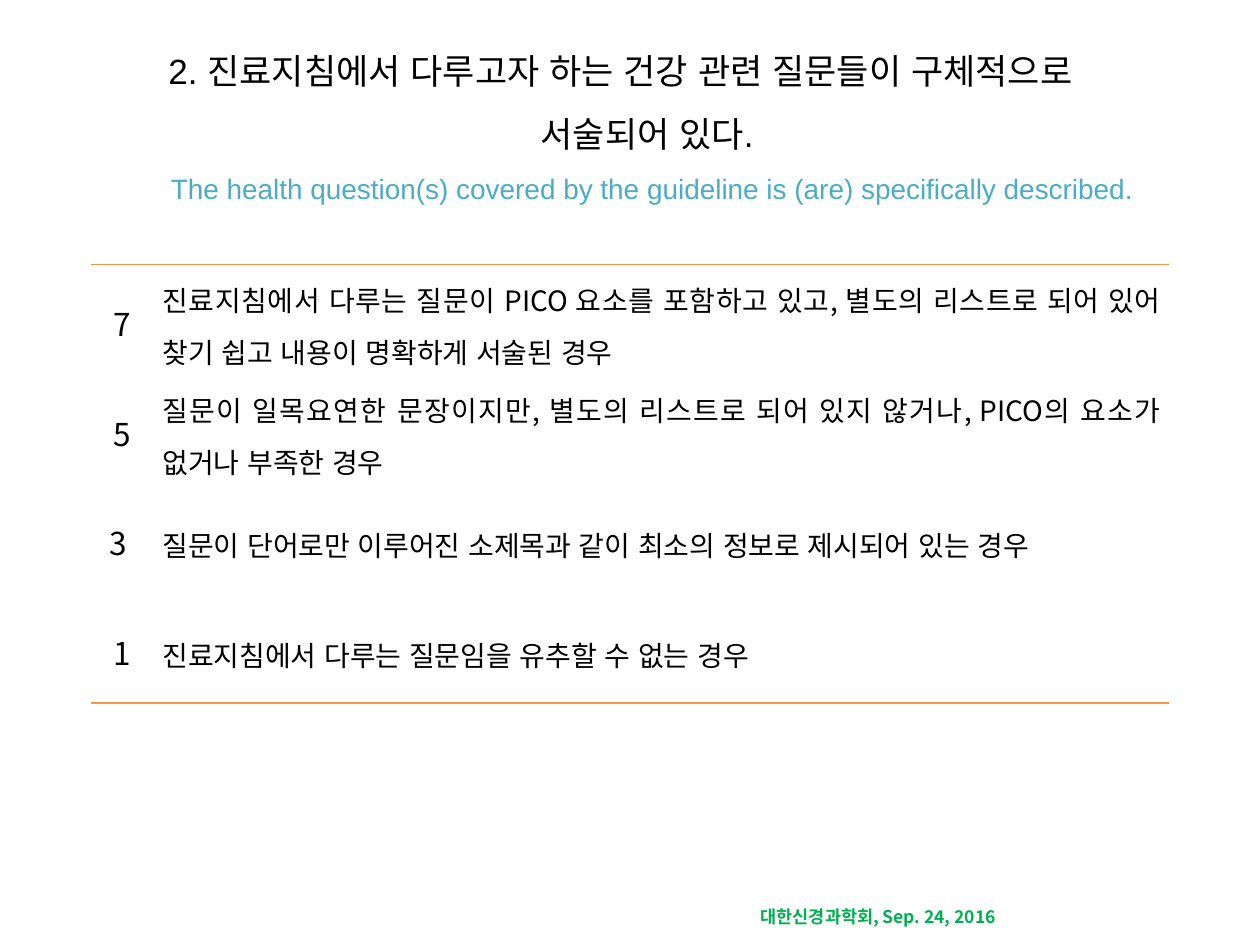
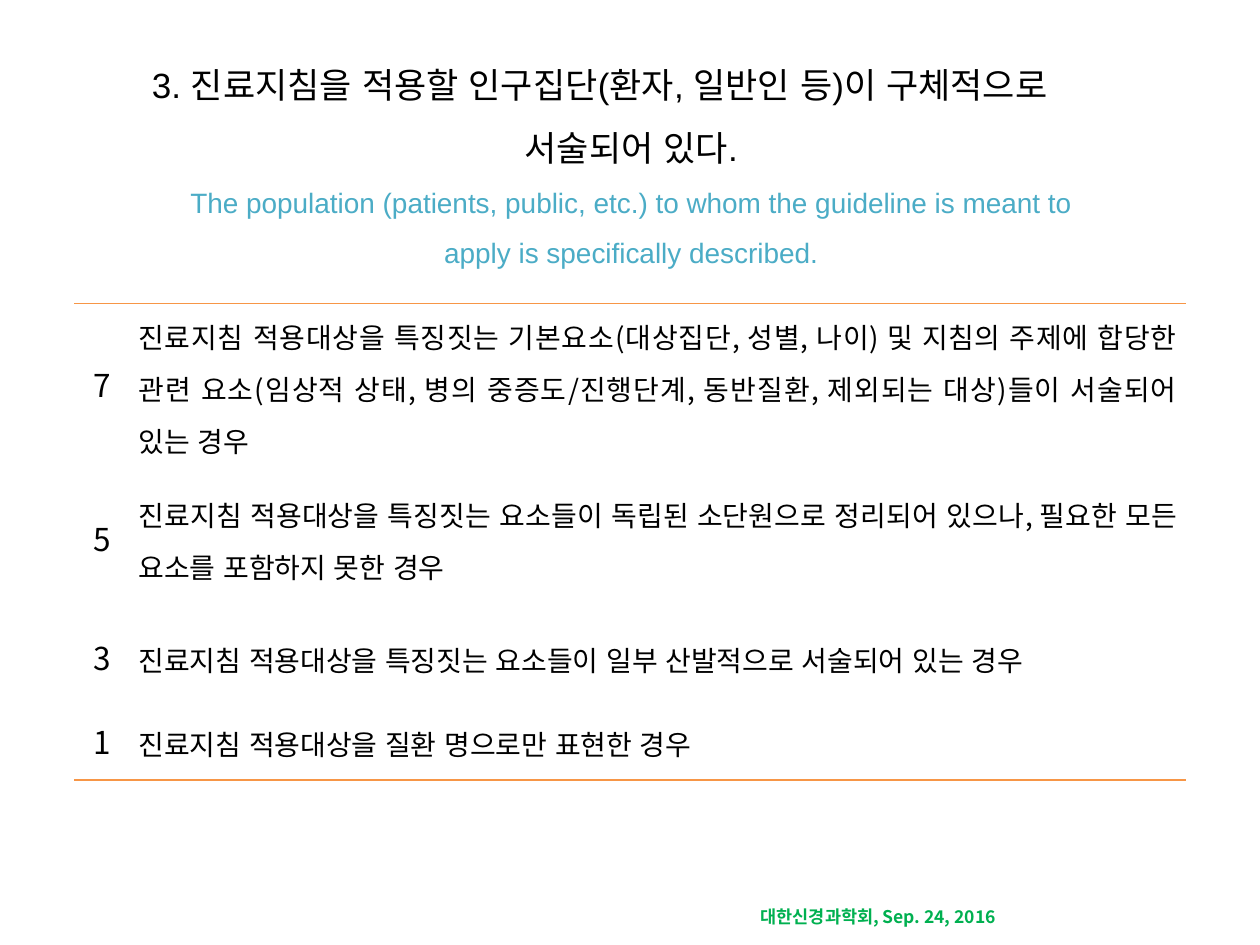
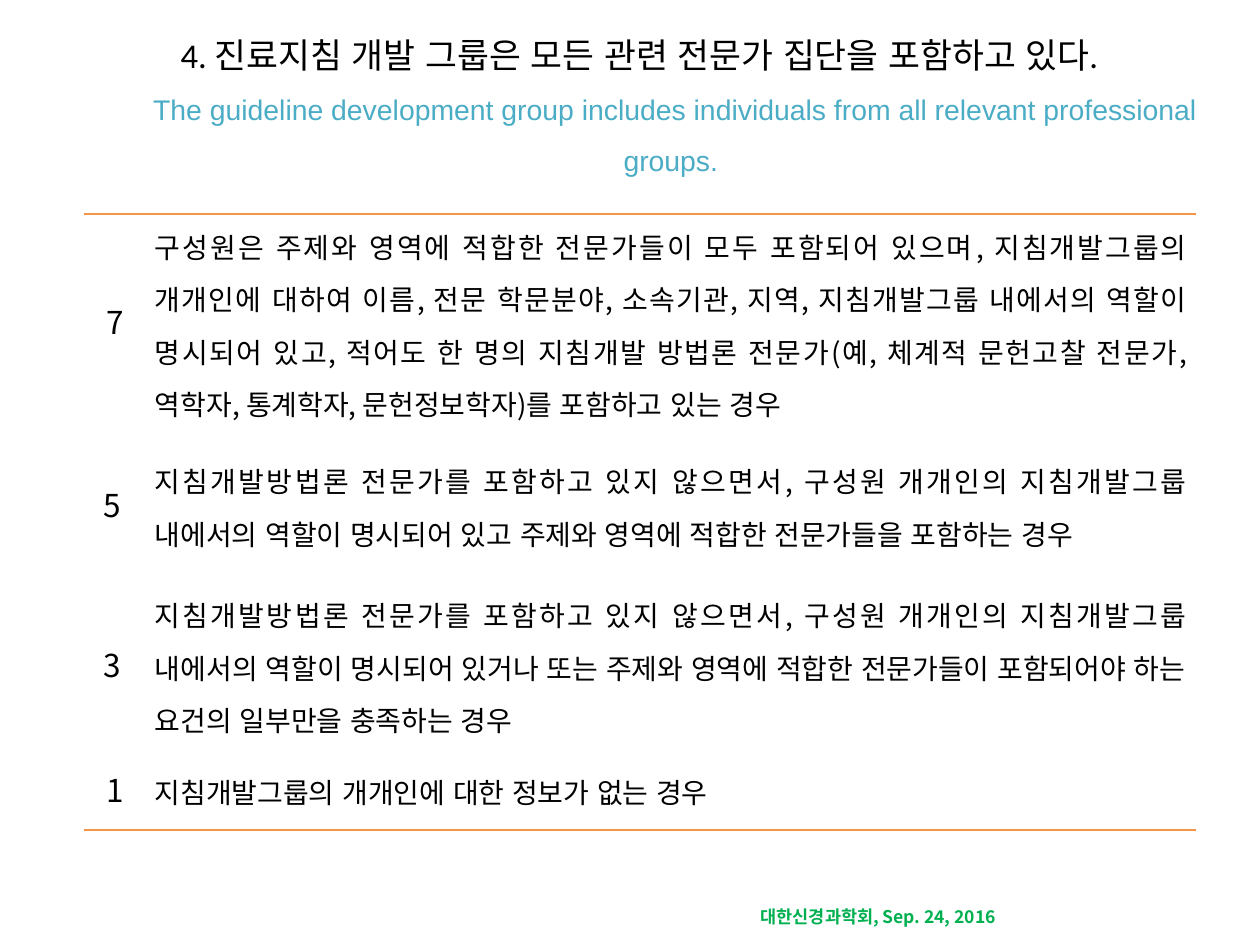
import pptx
import pptx.dml.color
import pptx.enum.lang
import pptx.enum.text
import pptx.oxml
import pptx.oxml.ns
import pptx.util

Inches = pptx.util.Inches
Pt = pptx.util.Pt
ALIGN = pptx.enum.text.PP_ALIGN
MIDDLE = pptx.enum.text.MSO_ANCHOR.MIDDLE
LANGUAGE = pptx.enum.lang.MSO_LANGUAGE_ID

KOREAN_FONT = "Noto Sans CJK KR"
BLACK, TEAL, GREEN, ORANGE = "000000", "4BACC6", "00B050", "F79646"
FOOTER = "대한신경과학회, Sep. 24, 2016"

SLIDES = [
    {
        "title_box": (0.75, 0.3, 8.35, 1.25),
        "question": ("2. 진료지침에서 다루고자 하는 건강 관련 질문들이 구체적으로 서술되어 있다. ", "Arial", 20),
        "translation": ("The health question(s) covered by the guideline is (are) specifically described.", 16),
        "table_corner": (0.72, 2.1),
        "columns": (0.5, 8.06),
        "rows": (0.87, 0.87, 0.87, 0.87),
        "criteria": [
            ("7", "진료지침에서 다루는 질문이 PICO 요소를 포함하고 있고, 별도의 리스트로 되어 있어 찾기 쉽고 내용이 명확하게 서술된 경우"),
            ("5", "질문이 일목요연한 문장이지만, 별도의 리스트로 되어 있지 않거나, PICO의 요소가 없거나 부족한 경우"),
            ("3 ", "질문이 단어로만 이루어진 소제목과 같이 최소의 정보로 제시되어 있는 경우"),
            ("1", "진료지침에서 다루는 질문임을 유추할 수 없는 경우"),
        ],
    },
    {
        "title_box": (0.66, 0.61, 8.2, 1.25),
        "question": ("3. 진료지침을 적용할 인구집단(환자, 일반인 등)이 구체적으로 서술되어 있다.", "Arial", 20),
        "translation": ("The population (patients, public, etc.) to whom the guideline is meant to apply is specifically described.", 16),
        "table_corner": (0.59, 2.41),
        "columns": (0.44, 8.38),
        "rows": (1.22, 1.22, 0.67, 0.67),
        "criteria": [
            ("7", "진료지침 적용대상을 특징짓는 기본요소(대상집단, 성별, 나이) 및 지침의 주제에 합당한 관련 요소(임상적 상태, 병의 중증도/진행단계, 동반질환, 제외되는 대상)들이 서술되어 있는 경우"),
            ("5", "진료지침 적용대상을 특징짓는 요소들이 독립된 소단원으로 정리되어 있으나, 필요한 모든 요소를 포함하지 못한 경우"),
            ("3", "진료지침 적용대상을 특징짓는 요소들이 일부 산발적으로 서술되어 있는 경우"),
            ("1", "진료지침 적용대상을 질환 명으로만 표현한 경우"),
        ],
    },
    {
        "title_box": (0.28, 0.13, 9.65, 1.25),
        "question": ("4. 진료지침 개발 그룹은 모든 관련 전문가 집단을 포함하고 있다. ", "Calibri", 19.8),
        "translation": ("The guideline development group includes individuals from all relevant professional groups. ", 16.2),
        "table_corner": (0.67, 1.7),
        "columns": (0.49, 8.33),
        "rows": (1.64, 1.27, 1.27, 0.71),
        "criteria": [
            ("7", "구성원은 주제와 영역에 적합한 전문가들이 모두 포함되어 있으며, 지침개발그룹의 개개인에 대하여 이름, 전문 학문분야, 소속기관, 지역, 지침개발그룹 내에서의 역할이 명시되어 있고, 적어도 한 명의 지침개발 방법론 전문가(예, 체계적 문헌고찰 전문가, 역학자, 통계학자, 문헌정보학자)를 포함하고 있는 경우"),
            ("5 ", "지침개발방법론 전문가를 포함하고 있지 않으면서, 구성원 개개인의 지침개발그룹 내에서의 역할이 명시되어 있고 주제와 영역에 적합한 전문가들을 포함하는 경우"),
            ("3 ", "지침개발방법론 전문가를 포함하고 있지 않으면서, 구성원 개개인의 지침개발그룹 내에서의 역할이 명시되어 있거나 또는 주제와 영역에 적합한 전문가들이 포함되어야 하는 요건의 일부만을 충족하는 경우"),
            ("1", "지침개발그룹의 개개인에 대한 정보가 없는 경우"),
        ],
    },
]


def rgb(value):
    return pptx.dml.color.RGBColor.from_string(value)


def apply(target, values):
    for attribute, value in values.items():
        setattr(target, attribute, value)


class GuidelineDeck:
    score_format = {"alignment": ALIGN.CENTER, "line_spacing": 1.15}
    criterion_format = {"alignment": ALIGN.JUSTIFY, "line_spacing": 1.3}
    title_format = {"alignment": ALIGN.CENTER, "line_spacing": 1.5}
    cell_format = {
        "vertical_anchor": MIDDLE,
        "margin_left": Inches(0.07),
        "margin_right": Inches(0.07),
        "margin_top": 0,
        "margin_bottom": 0,
    }

    def __init__(self):
        self.presentation = pptx.Presentation()
        apply(self.presentation, {"slide_width": Inches(10), "slide_height": Inches(7.5)})
        self.slide = None

    def new_slide(self):
        self.slide = self.presentation.slides.add_slide(self.presentation.slide_layouts[6])

    def run(self, paragraph, text, size, color=BLACK, font=KOREAN_FONT, bold=False, language=LANGUAGE.KOREAN):
        run = paragraph.add_run()
        run.text = text
        apply(run.font, {"size": Pt(size), "name": font, "bold": bold, "language_id": language})
        run.font.color.rgb = rgb(color)
        east_asian = pptx.oxml.parse_xml(
            f'<a:ea {pptx.oxml.ns.nsdecls("a")} typeface="{KOREAN_FONT}"/>'
        )
        run.font._element.append(east_asian)

    def text_frame(self, box, **values):
        frame = self.slide.shapes.add_textbox(*map(Inches, box)).text_frame
        apply(frame, {"word_wrap": True, **values})
        return frame

    def title(self, box, question, translation):
        paragraph = self.text_frame(box, vertical_anchor=MIDDLE).paragraphs[0]
        apply(paragraph, self.title_format)
        hanging = Inches(0.5)
        apply_indent = paragraph._p.get_or_add_pPr().set
        apply_indent("marL", str(hanging))
        apply_indent("indent", str(-hanging))
        text, font, size = question
        self.run(paragraph, text, size, font=font)
        paragraph.add_line_break()
        text, size = translation
        self.run(paragraph, text, size, TEAL, "Arial", language=LANGUAGE.ENGLISH_US)

    def footer(self):
        paragraph = self.text_frame((5.94, 7.14, 2.44, 0.27)).paragraphs[0]
        self.run(paragraph, FOOTER, 10, GREEN, bold=True)

    def borders(self, cell, colored):
        properties = cell._tc.get_or_add_tcPr()
        for position, edge in enumerate(("lnL", "lnR", "lnT", "lnB")):
            fill = "<a:noFill/>"
            if edge in colored:
                fill = f'<a:solidFill><a:srgbClr val="{ORANGE}"/></a:solidFill>'
            line = pptx.oxml.parse_xml(
                f'<a:{edge} {pptx.oxml.ns.nsdecls("a")} w="{Pt(1)}">{fill}</a:{edge}>'
            )
            properties.insert(position, line)

    def cell(self, cell, text, size, paragraph_format, colored):
        apply(cell, self.cell_format)
        cell.fill.background()
        self.borders(cell, colored)
        paragraph = cell.text_frame.paragraphs[0]
        apply(paragraph, paragraph_format)
        self.run(paragraph, text, size)

    def criteria_table(self, corner, columns, rows, criteria):
        box = (*corner, sum(columns), sum(rows))
        table = self.slide.shapes.add_table(len(rows), len(columns), *map(Inches, box)).table
        apply(table, {"first_row": False, "horz_banding": False})
        for column, width in zip(table.columns, columns):
            column.width = Inches(width)
        for index, (score, criterion) in enumerate(criteria):
            table.rows[index].height = Inches(rows[index])
            colored = {0: ("lnT",), len(rows) - 1: ("lnB",)}.get(index, ())
            self.cell(table.cell(index, 0), score, 18, self.score_format, colored)
            self.cell(table.cell(index, 1), criterion, 16, self.criterion_format, colored)


def main():
    deck = GuidelineDeck()
    for content in SLIDES:
        deck.new_slide()
        deck.footer()
        deck.title(content["title_box"], content["question"], content["translation"])
        deck.criteria_table(
            content["table_corner"], content["columns"], content["rows"], content["criteria"]
        )
    deck.presentation.save("out.pptx")


if __name__ == "__main__":
    main()
